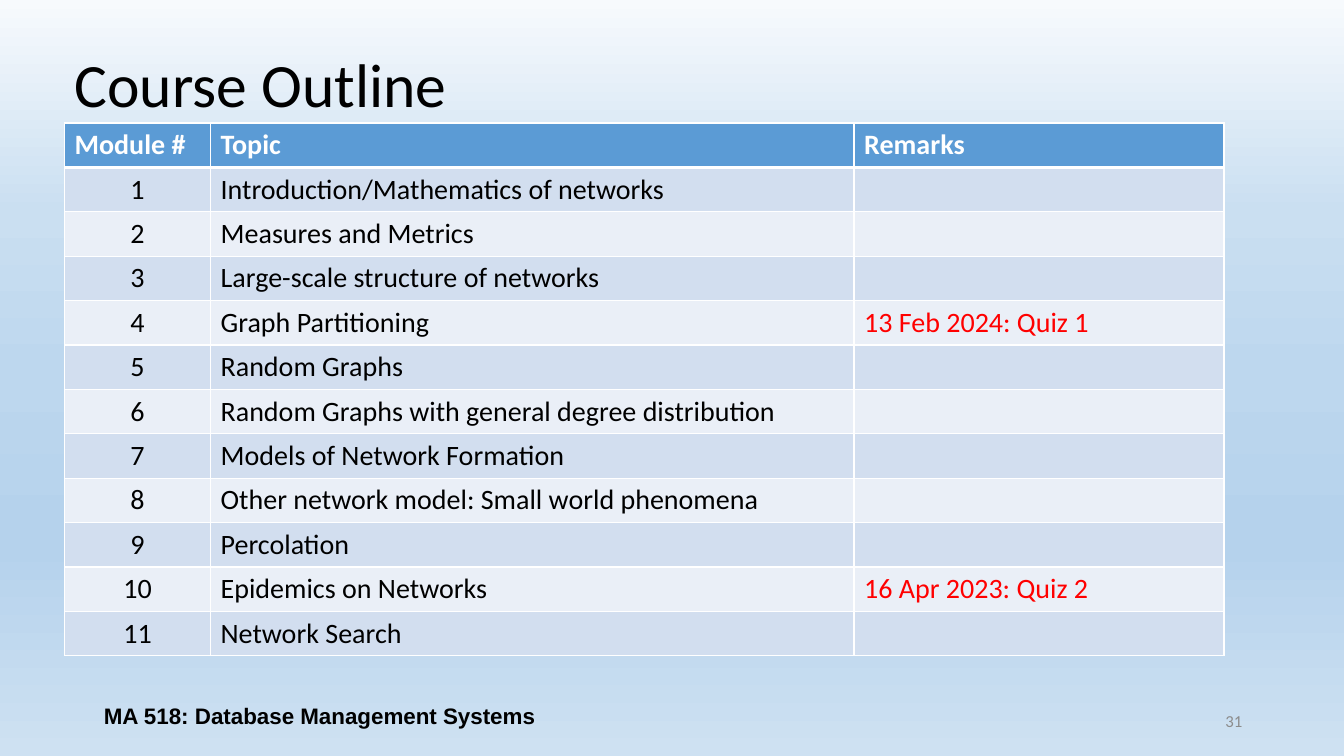
from dataclasses import dataclass

import pptx
import pptx.dml.color
import pptx.enum.text
import pptx.oxml
import pptx.oxml.ns
import pptx.presentation
import pptx.slide
import pptx.table
import pptx.text.text
import pptx.util

Align = pptx.enum.text.PP_ALIGN
Anchor = pptx.enum.text.MSO_ANCHOR
SLIDE_WIDTH, SLIDE_HEIGHT = pptx.util.Inches(13.33), pptx.util.Inches(7.5)


@dataclass(frozen=True)
class TextStyle:
    size: float
    color: str
    font: str = "Calibri"
    bold: bool = False
    align: Align = Align.LEFT


@dataclass(frozen=True)
class Theme:
    title: TextStyle = TextStyle(44, "000000")
    header: TextStyle = TextStyle(20, "FFFFFF", bold=True)
    number: TextStyle = TextStyle(20, "000000", align=Align.CENTER)
    topic: TextStyle = TextStyle(20, "000000")
    remark: TextStyle = TextStyle(20, "FF0000")
    footer: TextStyle = TextStyle(16, "000000", "Arial", True, Align.CENTER)
    page: TextStyle = TextStyle(12, "8C8C8C", align=Align.RIGHT)
    header_fill: str = "5B9BD5"
    band_fills: tuple[str, str] = ("D2DEEF", "EAEFF7")
    border: str = "FFFFFF"
    background: tuple[tuple[int, str], ...] = (
        (0, "F7FAFD"), (28, "CADFF1"), (49, "BDD7EE"),
        (71, "B5D2EC"), (72, "B5D2EC"), (100, "CEE1F2"),
    )


@dataclass(frozen=True)
class Box:
    """A rectangle in percent of the slide's width and height."""
    left: float
    top: float
    width: float
    height: float

    def lengths(self) -> tuple[int, int, int, int]:
        return (int(SLIDE_WIDTH * self.left / 100), int(SLIDE_HEIGHT * self.top / 100),
                int(SLIDE_WIDTH * self.width / 100), int(SLIDE_HEIGHT * self.height / 100))


@dataclass(frozen=True)
class Module:
    topic: str
    remark: str = ""


THEME = Theme()
TITLE_BOX = Box(4.8, 1.87, 86.27, 19.33)
TABLE_BOX = Box(4.8, 16.27, 86.27, 70.5)
FOOTER_BOX = Box(6.9, 92, 33.76, 5.33)
PAGE_BOX = Box(70.67, 92.67, 22.5, 5.33)
COLUMN_SHARES = (12.6, 55.5, 31.9)
HEADINGS = ("Module #", "Topic", "Remarks")
MODULES = (
    Module("Introduction/Mathematics of networks"),
    Module("Measures and Metrics"),
    Module("Large-scale structure of networks"),
    Module("Graph Partitioning", "13 Feb 2024: Quiz 1"),
    Module("Random Graphs"),
    Module("Random Graphs with general degree distribution"),
    Module("Models of Network Formation"),
    Module("Other network model: Small world phenomena"),
    Module("Percolation"),
    Module("Epidemics on Networks", "16 Apr 2023: Quiz 2"),
    Module("Network Search"),
)


def rgb(color: str) -> pptx.dml.color.RGBColor:
    return pptx.dml.color.RGBColor.from_string(color)


def write(frame: pptx.text.text.TextFrame, text: str, style: TextStyle) -> None:
    frame.text = text
    paragraph = frame.paragraphs[0]
    paragraph.alignment = style.align
    paragraph.font.name = style.font
    paragraph.font.size = pptx.util.Pt(style.size)
    paragraph.font.bold = style.bold
    paragraph.font.color.rgb = rgb(style.color)


def paint_background(slide: pptx.slide.Slide) -> None:
    fill = slide.background.fill
    fill.gradient()
    fill.gradient_angle = 270
    stops = slide.element.find(".//" + pptx.oxml.ns.qn("a:gsLst"))
    for stop in list(stops):
        stops.remove(stop)
    for percent, color in THEME.background:
        stops.append(pptx.oxml.parse_xml(
            f'<a:gs {pptx.oxml.ns.nsdecls("a")} pos="{percent * 1000}">'
            f'<a:srgbClr val="{color}"/></a:gs>'))


def add_title(slide: pptx.slide.Slide, text: str) -> None:
    title = slide.shapes.title
    title.left, title.top, title.width, title.height = TITLE_BOX.lengths()
    write(title.text_frame, text, THEME.title)
    title.text_frame.vertical_anchor = Anchor.MIDDLE
    title.text_frame.paragraphs[0].line_spacing = 0.9


def add_label(slide: pptx.slide.Slide, box: Box, text: str, style: TextStyle) -> None:
    frame = slide.shapes.add_textbox(*box.lengths()).text_frame
    frame.word_wrap = True
    frame.vertical_anchor = Anchor.MIDDLE
    write(frame, text, style)


def set_borders(cell: pptx.table._Cell, top: float, bottom: float) -> None:
    properties = cell._tc.get_or_add_tcPr()
    for side, points in (("L", 1), ("R", 1), ("T", top), ("B", bottom)):
        properties.append(pptx.oxml.parse_xml(
            f'<a:ln{side} {pptx.oxml.ns.nsdecls("a")} w="{pptx.util.Pt(points)}">'
            f'<a:solidFill><a:srgbClr val="{THEME.border}"/></a:solidFill></a:ln{side}>'))


def add_outline_table(slide: pptx.slide.Slide) -> None:
    left, top, width, height = TABLE_BOX.lengths()
    rows = [HEADINGS] + [(str(number), module.topic, module.remark)
                         for number, module in enumerate(MODULES, 1)]
    table = slide.shapes.add_table(len(rows), len(HEADINGS), left, top, width, height).table
    for column, share in zip(table.columns, COLUMN_SHARES):
        column.width = int(width * share / 100)
    body_styles = (THEME.number, THEME.topic, THEME.remark)
    for row_index, texts in enumerate(rows):
        is_header = row_index == 0
        fill = THEME.header_fill if is_header else THEME.band_fills[(row_index - 1) % 2]
        for column_index, text in enumerate(texts):
            cell = table.cell(row_index, column_index)
            style = THEME.header if is_header else body_styles[column_index]
            write(cell.text_frame, text, style)
            set_borders(cell, top=3 if row_index == 1 else 1, bottom=3 if is_header else 1)
            cell.fill.solid()
            cell.fill.fore_color.rgb = rgb(fill)


def main() -> None:
    presentation = pptx.Presentation()
    presentation.slide_width, presentation.slide_height = SLIDE_WIDTH, SLIDE_HEIGHT
    slide = presentation.slides.add_slide(presentation.slide_layouts.get_by_name("Title Only"))
    paint_background(slide)
    add_title(slide, "Course Outline")
    add_outline_table(slide)
    add_label(slide, FOOTER_BOX, "MA 518: Database Management Systems", THEME.footer)
    add_label(slide, PAGE_BOX, "31", THEME.page)
    presentation.save("out.pptx")


if __name__ == "__main__":
    main()
